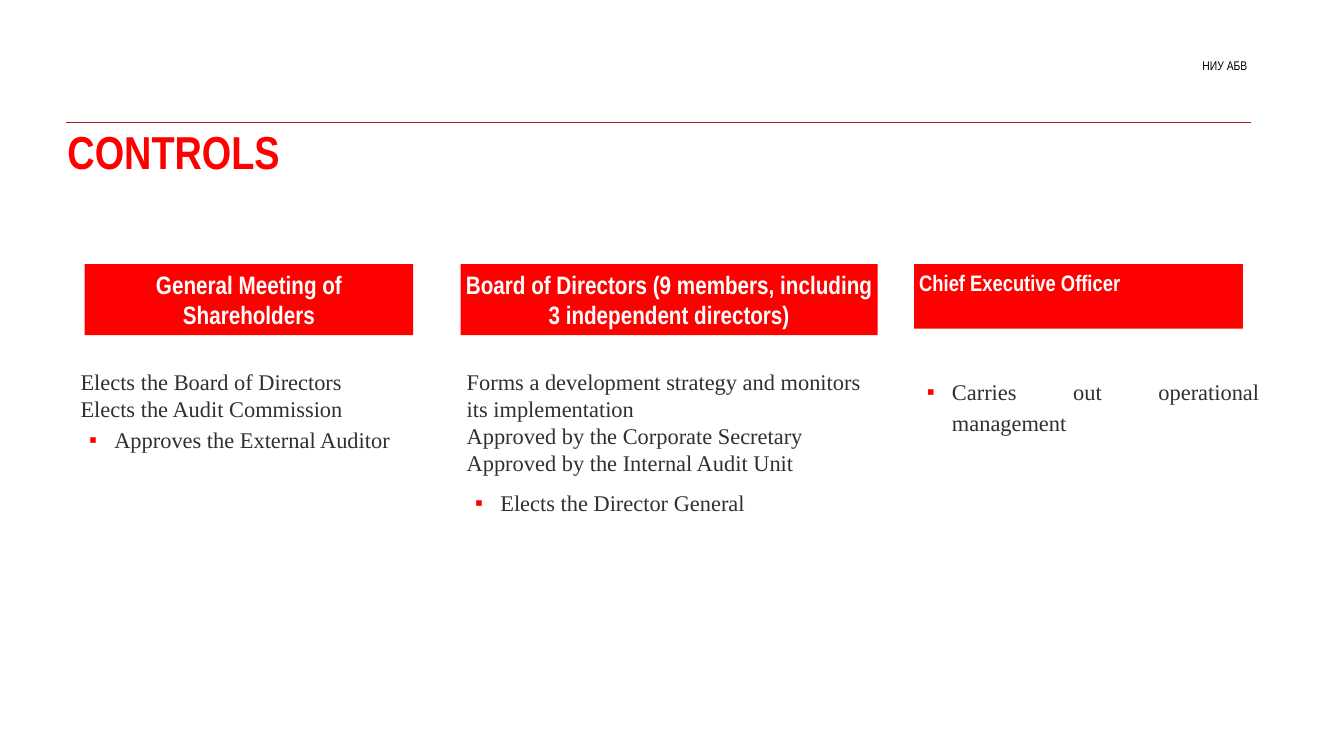
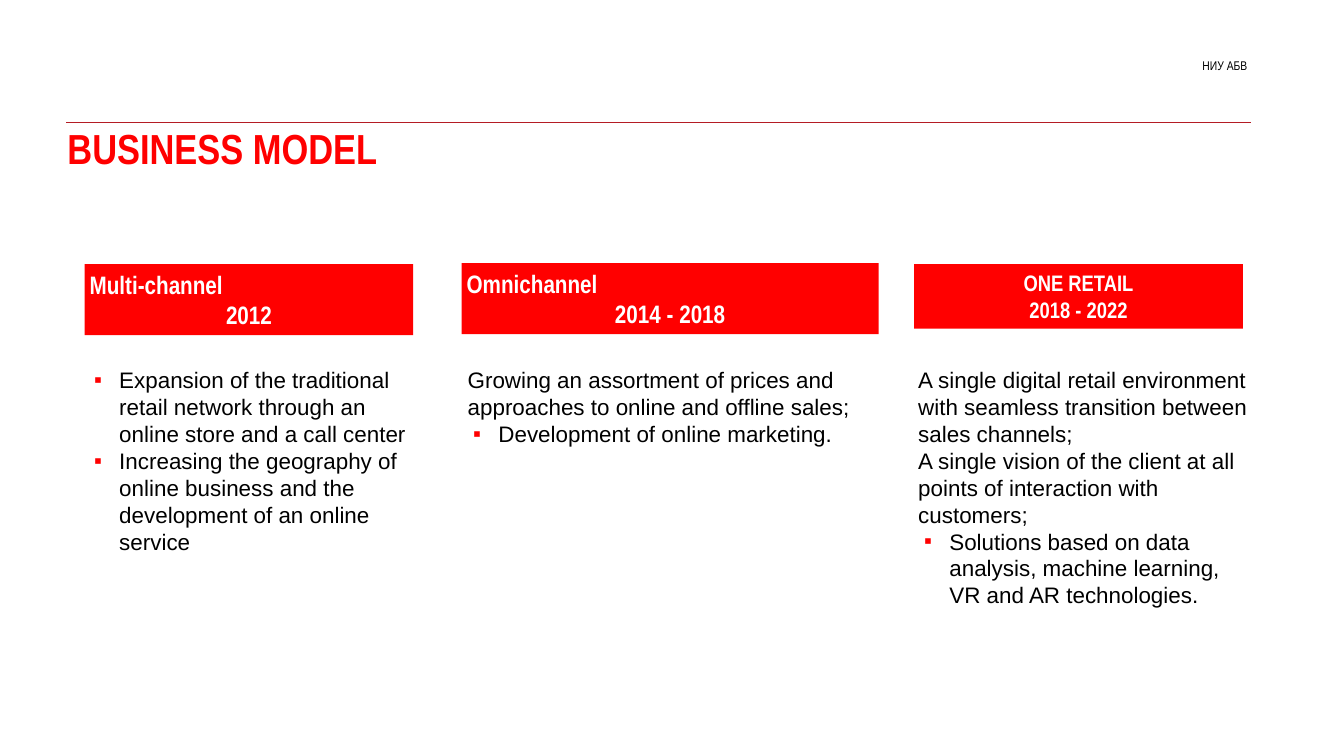
from dataclasses import dataclass

from lxml.etree import SubElement
from pptx import Presentation
from pptx.dml.color import RGBColor
from pptx.enum.shapes import MSO_CONNECTOR, MSO_SHAPE
from pptx.enum.text import MSO_ANCHOR, MSO_AUTO_SIZE, PP_ALIGN
from pptx.oxml.ns import qn
from pptx.util import Cm, Pt

COLOURS = {
    "accent": "FF0000",
    "rule": "B41C24",
    "heading": "FFFFFF",
    "dark": "303030",
    "black": "000000",
}
NARROW = "Arial Narrow"
ORGANISATION = "НИУ АБВ"
COMPARISON_LAYOUT = 4
HANGING = 1.27
HEADING_TOP = 13.31
LEFT, CENTER = PP_ALIGN.LEFT, PP_ALIGN.CENTER


@dataclass(frozen=True)
class Box:
    left: float
    top: float
    width: float
    height: float


@dataclass(frozen=True)
class TextStyle:
    font: str
    size: int
    colour: str
    bold: bool = False


@dataclass(frozen=True)
class Line:
    text: str
    align: PP_ALIGN = LEFT
    bullet_indent: float = 0
    spacing: float = 1


@dataclass(frozen=True)
class Column:
    heading_box: Box
    heading_size: int
    heading: list[Line]
    body_box: Box
    body: list[Line]


@dataclass(frozen=True)
class Page:
    title: str
    title_size: int
    body_style: TextStyle
    columns: list[Column]


LEFT_HEADING = Box(4.27, HEADING_TOP, 16.56, 3.58)
RIGHT_HEADING = Box(46.08, HEADING_TOP, 16.56, 3.25)

PAGES = [
    Page("CONTROLS", 66, TextStyle("Times New Roman", 32, "dark"), [
        Column(
            LEFT_HEADING, 36,
            [Line("General Meeting of Shareholders", CENTER)],
            Box(3.86, 18.36, 20.17, 13.46),
            [
                Line("Elects the Board of Directors"),
                Line("Elects the Audit Commission"),
                Line("Approves the External Auditor", LEFT, 1.7, 1.15),
            ],
        ),
        Column(
            Box(23.22, HEADING_TOP, 21.01, 3.58), 36,
            [Line("Board of Directors (9 members, including 3 independent directors)", CENTER)],
            Box(23.32, 18.36, 20.9, 18.21),
            [
                Line("Forms a development strategy and monitors its implementation"),
                Line("Approved by the Corporate Secretary"),
                Line("Approved by the Internal Audit Unit"),
                Line("Elects the Director General", LEFT, 1.7, 1.5),
            ],
        ),
        Column(
            RIGHT_HEADING, 32,
            [Line("Chief Executive Officer")],
            Box(46.08, 18.64, 17.6, 13.46),
            [Line("Carries out operational management", PP_ALIGN.JUSTIFY, 1.7, 1.15)],
        ),
    ]),
    Page("BUSINESS MODEL", 60, TextStyle("Arial", 32, "black"), [
        Column(
            LEFT_HEADING, 36,
            [Line("Multi-channel"), Line("2012", CENTER)],
            Box(4.24, 18.26, 17.2, 14.71),
            [
                Line("Expansion of the traditional retail network through an online store "
                     "and a call center", LEFT, 1.57),
                Line("Increasing the geography of online business and the development "
                     "of an online service", LEFT, 1.57),
            ],
        ),
        Column(
            Box(23.27, 13.26, 21.01, 3.58), 36,
            [Line("Omnichannel"), Line("2014 - 2018", CENTER)],
            Box(23.37, 18.26, 21.01, 18.21),
            [
                Line("Growing an assortment of prices and approaches to online "
                     "and offline sales;"),
                Line("Development of online marketing.", LEFT, 1.55),
            ],
        ),
        Column(
            RIGHT_HEADING, 32,
            [Line("ONE RETAIL", CENTER), Line("2018 - 2022", CENTER)],
            Box(46.08, 18.26, 17.4, 16.99),
            [
                Line("A single digital retail environment with seamless transition "
                     "between sales channels;"),
                Line("A single vision of the client at all points of interaction "
                     "with customers;"),
                Line("Solutions based on data analysis, machine learning, "
                     "VR and AR technologies.", LEFT, 1.57),
            ],
        ),
    ]),
]


def colour(name: str) -> RGBColor:
    return RGBColor.from_string(COLOURS[name])


def lengths(box: Box) -> tuple[Cm, Cm, Cm, Cm]:
    return Cm(box.left), Cm(box.top), Cm(box.width), Cm(box.height)


def place(shape, box: Box) -> None:
    shape.left, shape.top, shape.width, shape.height = lengths(box)


def format_indent(paragraph, indent: float) -> None:
    properties = paragraph._p.get_or_add_pPr()
    properties.set("marL", str(Cm(indent)))
    properties.set("indent", str(-Cm(HANGING) if indent else 0))
    if not indent:
        SubElement(properties, qn("a:buNone"))
        return
    bullet_colour = SubElement(properties, qn("a:buClr"))
    SubElement(bullet_colour, qn("a:srgbClr"), val=COLOURS["accent"])
    SubElement(properties, qn("a:buFont"), typeface="Arial")
    SubElement(properties, qn("a:buChar"), char="▪")


def write(shape, lines: list[Line], style: TextStyle, inset: float = 0.2,
          anchor: MSO_ANCHOR = MSO_ANCHOR.TOP) -> None:
    frame = shape.text_frame
    frame.word_wrap = True
    frame.auto_size = MSO_AUTO_SIZE.NONE
    frame.vertical_anchor = anchor
    frame.margin_left = frame.margin_right = Cm(inset)
    frame.margin_top = frame.margin_bottom = Cm(inset)
    for number, line in enumerate(lines):
        paragraph = frame.add_paragraph() if number else frame.paragraphs[0]
        paragraph.alignment = line.align
        paragraph.line_spacing = line.spacing
        paragraph.space_before = paragraph.space_after = Pt(0)
        format_indent(paragraph, line.bullet_indent)
        run = paragraph.add_run()
        run.text = line.text
        run.font.name = style.font
        run.font.size = Pt(style.size)
        run.font.bold = style.bold
        run.font.color.rgb = colour(style.colour)


def add_header(slide, page: Page) -> None:
    rule = slide.shapes.add_connector(
        MSO_CONNECTOR.STRAIGHT, Cm(3.33), Cm(6.15), Cm(63.07), Cm(6.15))
    rule.line.color.rgb = colour("rule")
    rule.line.width = Pt(1)
    SubElement(rule._element.spPr, qn("a:effectLst"))

    organisation = slide.shapes.add_textbox(*lengths(Box(31.5, 2.74, 31.57, 1.17)))
    write(organisation, [Line(ORGANISATION, PP_ALIGN.RIGHT)],
          TextStyle(NARROW, 18, "black"), anchor=MSO_ANCHOR.MIDDLE)

    title = slide.shapes.title
    place(title, Box(3.2, 5.99, 44.65, 6.43))
    write(title, [Line(page.title)], TextStyle(NARROW, page.title_size, "accent", True))


def add_column(slide, column: Column, body, body_style: TextStyle) -> None:
    heading = slide.shapes.add_shape(MSO_SHAPE.RECTANGLE, *lengths(column.heading_box))
    heading.shadow.inherit = False
    heading.fill.solid()
    heading.fill.fore_color.rgb = colour("accent")
    heading.line.fill.background()
    write(heading, column.heading,
          TextStyle(NARROW, column.heading_size, "heading", True), inset=0.25)

    place(body, column.body_box)
    write(body, column.body, body_style)


def add_page(presentation, page: Page) -> None:
    slide = presentation.slides.add_slide(presentation.slide_layouts[COMPARISON_LAYOUT])
    bodies = [placeholder for placeholder in slide.placeholders
              if placeholder.placeholder_format.idx > 0]
    add_header(slide, page)
    for column, body in zip(page.columns, bodies):
        add_column(slide, column, body, page.body_style)
    for unused in bodies[len(page.columns):]:
        unused.element.getparent().remove(unused.element)


def main() -> None:
    presentation = Presentation()
    presentation.slide_width = Cm(67.74)
    presentation.slide_height = Cm(38.1)
    for page in PAGES:
        add_page(presentation, page)
    presentation.save("out.pptx")


if __name__ == "__main__":
    main()
